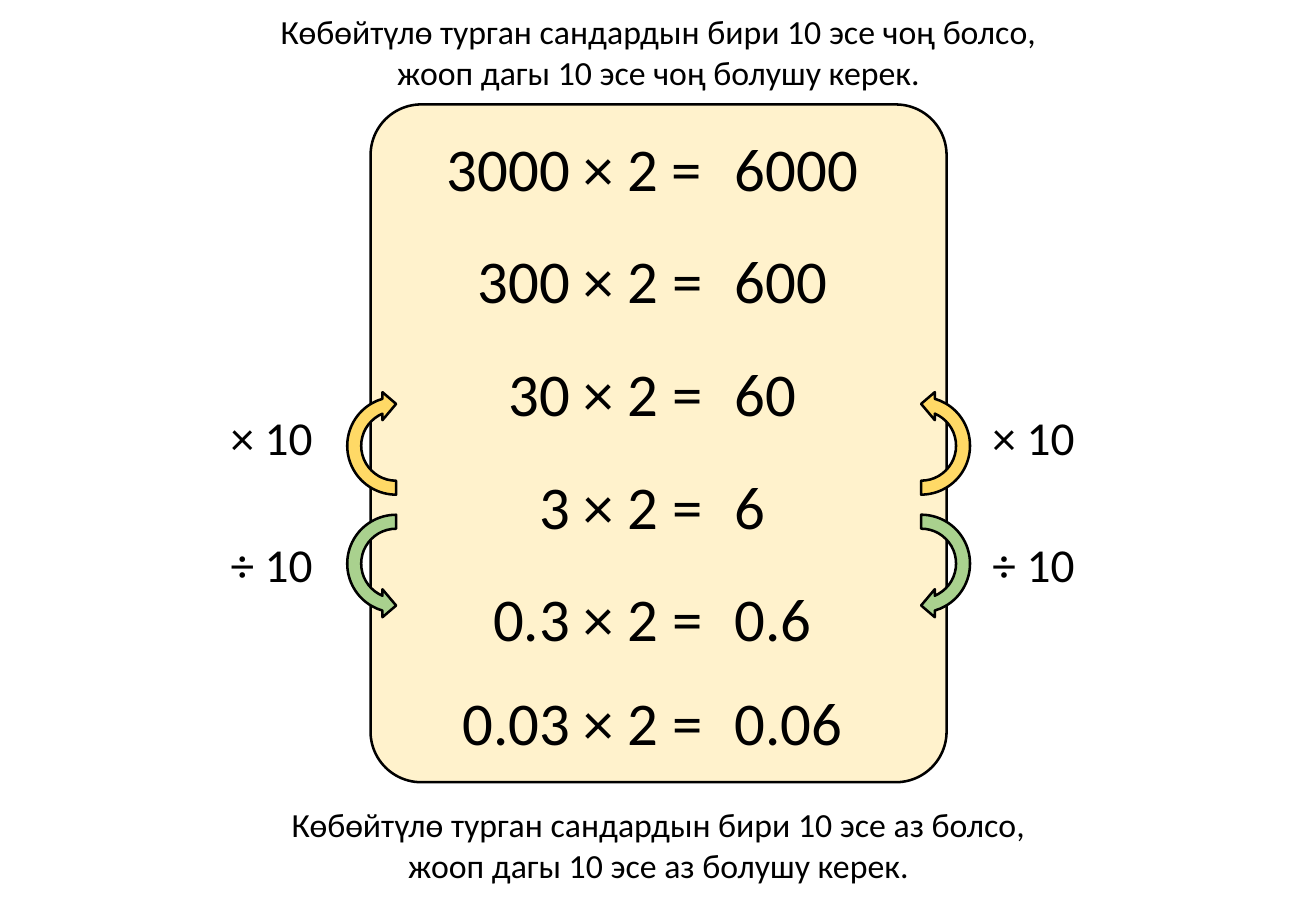
from pptx import Presentation
from pptx.dml.color import RGBColor
from pptx.enum.shapes import MSO_SHAPE
from pptx.enum.text import MSO_ANCHOR, PP_ALIGN
from pptx.util import Pt

EMU_PER_PX = 9144  # 100 px to the inch
FONT = "Calibri"
BLACK, CREAM, YELLOW, GREEN = "000000", "FFF2CC", "FFD966", "A9D18E"

TOP_CAPTION = ("Көбөйтүлө турган сандардын бири 10 эсе чоң болсо,\n"
               "жооп дагы 10 эсе чоң болушу керек.")
BOTTOM_CAPTION = ("Көбөйтүлө турган сандардын бири 10 эсе аз болсо,\n"
                  "жооп дагы 10 эсе аз болушу керек.")
# product, answer, distance from the top of the panel
EQUATIONS = [
    ("3000 × 2 =", "6000", 17),
    ("300 × 2 =", "600", 109),
    ("30 × 2 =", "60", 202),
    ("3 × 2 =", "6", 295),
    ("0.3 × 2 =", "0.6", 387),
    ("0.03 × 2 =", "0.06", 473),
]


def px(length):
    return length * EMU_PER_PX


def color(hex_string):
    return RGBColor.from_string(hex_string)


def place(shape, left, top, width, height):
    shape.left, shape.top = px(left), px(top)
    shape.width, shape.height = px(width), px(height)


def write(shape, text, size, alignment):
    frame = shape.text_frame
    frame.word_wrap = True
    frame.vertical_anchor = MSO_ANCHOR.TOP
    frame.text = text
    for paragraph in frame.paragraphs:
        paragraph.alignment = alignment
        paragraph.line_spacing = 1.0
        for run in paragraph.runs:
            run.font.name = FONT
            run.font.size = Pt(size)
            run.font.color.rgb = color(BLACK)


def add_text(slide, box, text, size, alignment):
    shape = slide.shapes.add_textbox(*map(px, box))
    write(shape, text, size, alignment)


def add_outlined_shape(slide, kind, box, fill):
    shape = slide.shapes.add_shape(kind, *map(px, box))
    shape.shadow.inherit = False
    shape.fill.solid()
    shape.fill.fore_color.rgb = color(fill)
    shape.line.color.rgb = color(BLACK)
    shape.line.width = Pt(1.5)
    return shape


def add_equation_panel(slide, left, top, width, height):
    panel = add_outlined_shape(slide, MSO_SHAPE.ROUNDED_RECTANGLE,
                               (left, top, width, height), CREAM)
    panel.adjustments[0] = 0.088
    for product, answer, offset in EQUATIONS:
        row = top + offset
        add_text(slide, (left + 33, row, 250, 71), product, 36, PP_ALIGN.RIGHT)
        add_text(slide, (left + 290, row, 150, 71), answer, 36, PP_ALIGN.LEFT)


def add_step_arrow(slide, box, fill, rotation, flipped):
    arrow = add_outlined_shape(slide, MSO_SHAPE.CIRCULAR_ARROW, box, fill)
    arrow.rotation = rotation
    if flipped:
        arrow.element.spPr.get_or_add_xfrm().set("flipV", "1")


def add_steps(slide, arrow_left, label_left, top, on_right):
    """Add the ×10 and ÷10 arrows with their labels on one side of the panel."""
    add_step_arrow(slide, (arrow_left, top, 92, 92), YELLOW, 270, on_right)
    add_step_arrow(slide, (arrow_left, top + 97, 92, 92), GREEN, 90, not on_right)
    for label, offset in (("× 10", 10), ("÷ 10", 115)):
        add_text(slide, (label_left, top + offset, 99, 57), label, 28, PP_ALIGN.RIGHT)


def main():
    presentation = Presentation()
    presentation.slide_width, presentation.slide_height = px(1083), px(750)
    slide = presentation.slides.add_slide(presentation.slide_layouts[5])

    title = slide.shapes.title
    place(title, 202, 4, 680, 77)
    write(title, TOP_CAPTION, 20, PP_ALIGN.CENTER)

    add_equation_panel(slide, 305, 86, 474, 558)
    add_steps(slide, 280, 168, 321, on_right=False)
    add_steps(slide, 712, 795, 321, on_right=True)
    add_text(slide, (202, 657, 680, 77), BOTTOM_CAPTION, 20, PP_ALIGN.CENTER)

    presentation.save("out.pptx")


if __name__ == "__main__":
    main()
